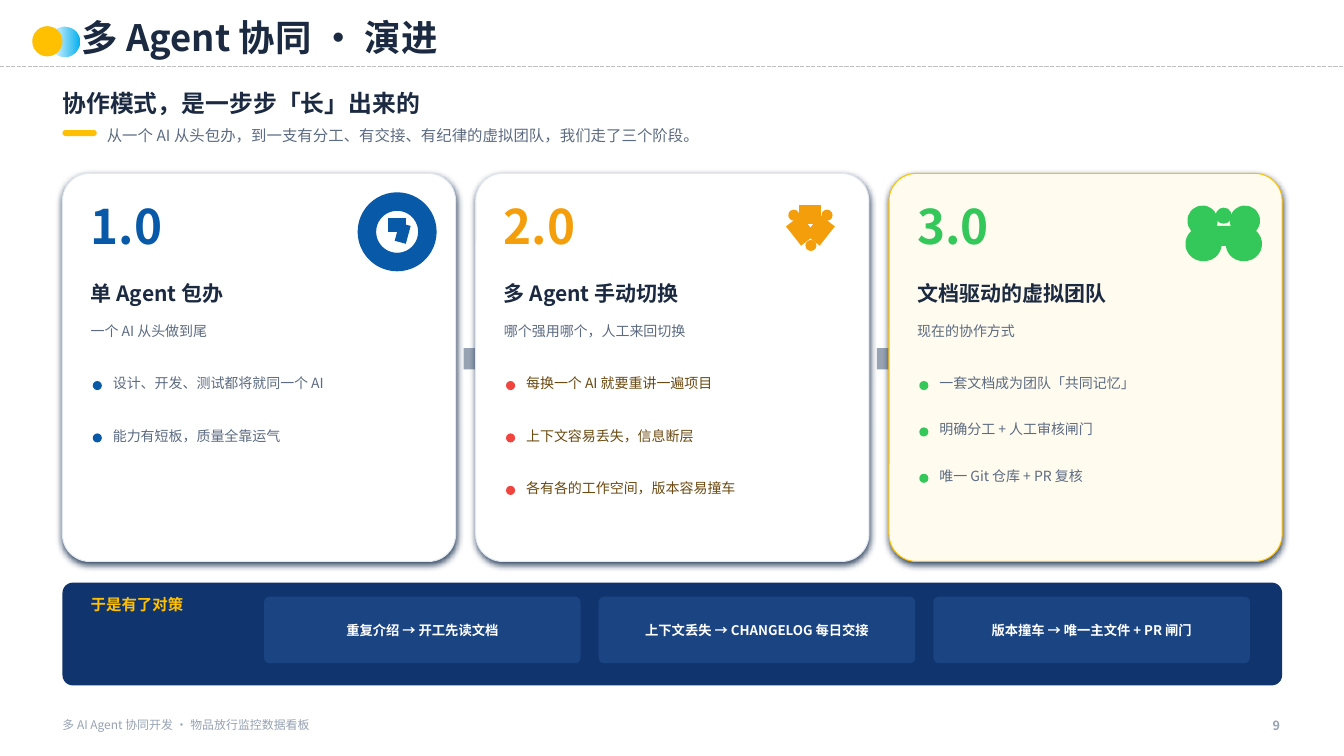
from lxml import etree
from pptx import Presentation
from pptx import util as u
from pptx.dml.color import RGBColor
from pptx.enum import dml, shapes, text
from pptx.oxml.ns import qn

FONT = "Noto Sans CJK SC"
COLORS = {
    "ink": "1B2A41", "body": "5C6B82", "muted": "97A2B3", "brown": "6B4A12",
    "blue": "0859A8", "orange": "F59E0B", "green": "34C759", "red": "F0443E",
    "yellow": "FFC001", "cream": "FFFBEE", "white": "FFFFFF", "border": "E2E8F2",
    "navy": "10356E", "chip": "1B4483", "sky": "01B0F0", "rule": "BFBFBF",
    "shadow": "0F2747",
}
TITLE = "多 Agent 协同 · 演进"
HEADLINE = "协作模式，是一步步「长」出来的"
INTRO = "从一个 AI 从头包办，到一支有分工、有交接、有纪律的虚拟团队，我们走了三个阶段。"
FOOTER = "多 AI Agent 协同开发 · 物品放行监控数据看板"
PAGE = "9"
# Icon parts: kind, then left, top, width, height (or both ends of a line), from the card corner
CLOCK = [
    ("ring", 217.44, 20.16, 43.2, 43.2),
    ("line", 239.04, 41.76, 239.04, 31.68),
    ("line", 239.04, 41.76, 246.96, 43.92),
]
NETWORK = [
    ("dot", 223.2, 25.92, 7.92, 7.92),
    ("dot", 246.96, 25.92, 7.92, 7.92),
    ("dot", 235.44, 47.52, 7.92, 7.92),
    ("line", 231.12, 29.52, 246.96, 29.52),
    ("line", 226.8, 33.84, 237.6, 47.52),
    ("line", 251.28, 33.84, 240.48, 47.52),
]
TEAM = [
    ("dot", 233.28, 24.48, 11.52, 11.52),
    ("pill", 227.52, 37.44, 22.32, 14.4),
    ("ring", 219.6, 29.52, 8.64, 8.64),
    ("pill ring", 218.16, 44.64, 12.96, 11.52),
    ("ring", 249.84, 29.52, 8.64, 8.64),
    ("pill ring", 246.96, 44.64, 12.96, 11.52),
]
STAGES = [
    dict(number="1.0", name="单 Agent 包办", summary="一个 AI 从头做到尾",
         points=["设计、开发、测试都将就同一个 AI", "能力有短板，质量全靠运气"],
         icon=CLOCK, accent="blue", bullet="blue", ink="body",
         fill="white", border="border", step=37.44),
    dict(number="2.0", name="多 Agent 手动切换", summary="哪个强用哪个，人工来回切换",
         points=["每换一个 AI 就要重讲一遍项目", "上下文容易丢失，信息断层",
                 "各有各的工作空间，版本容易撞车"],
         icon=NETWORK, accent="orange", bullet="red", ink="brown",
         fill="white", border="border", step=37.44),
    dict(number="3.0", name="文档驱动的虚拟团队", summary="现在的协作方式",
         points=["一套文档成为团队「共同记忆」", "明确分工 + 人工审核闸门",
                 "唯一 Git 仓库 + PR 复核"],
         icon=TEAM, accent="green", bullet="green", ink="body",
         fill="cream", border="yellow", step=33.12),
]
REMEDY_LABEL = "于是有了对策"
REMEDIES = ["重复介绍 → 开工先读文档", "上下文丢失 → CHANGELOG 每日交接",
            "版本撞车 → 唯一主文件 + PR 闸门"]

MARGIN, CONTENT_WIDTH = 44.64, 871.2
CARD_TOP, CARD_WIDTH, CARD_HEIGHT, CARD_STEP = 123.84, 280.8, 277.2, 295.2
CHIP_LEFT, CHIP_TOP, CHIP_WIDTH, CHIP_HEIGHT, CHIP_STEP = 188.64, 426.24, 226.08, 47.52, 239.04
CHIP_PADDING = 7.2
ICON_STROKE = 13.2

OVAL = shapes.MSO_SHAPE.OVAL
ROUNDED = shapes.MSO_SHAPE.ROUNDED_RECTANGLE
ARROW = shapes.MSO_SHAPE.RIGHT_ARROW

presentation = Presentation()
presentation.slide_width, presentation.slide_height = u.Pt(960), u.Pt(540)
slide = presentation.slides.add_slide(presentation.slide_layouts[6])


def color(name):
    return RGBColor.from_string(COLORS[name])


def points(*lengths):
    return [u.Pt(length) for length in lengths]


def add_text(content, left, top, width, height, size=10, ink="body", bold=False,
             align=None, middle=False, spacing=None):
    box = slide.shapes.add_textbox(*points(left, top, width, height))
    frame = box.text_frame
    frame.word_wrap = True
    frame.auto_size = text.MSO_AUTO_SIZE.SHAPE_TO_FIT_TEXT
    frame.margin_left = frame.margin_right = frame.margin_top = frame.margin_bottom = 0
    frame.vertical_anchor = text.MSO_ANCHOR.MIDDLE if middle else text.MSO_ANCHOR.TOP
    paragraph = frame.paragraphs[0]
    paragraph.alignment = align
    paragraph.line_spacing = spacing
    run = paragraph.add_run()
    run.text = content
    run.font.size, run.font.bold, run.font.name = u.Pt(size), bold, FONT
    run.font.color.rgb = color(ink)
    etree.SubElement(run.font._element, qn("a:ea"), typeface=FONT)


def add_block(kind, left, top, width, height, fill=None, line=None, line_width=0.75, corner=None):
    shape = slide.shapes.add_shape(kind, *points(left, top, width, height))
    shape.shadow.inherit = False
    if corner is not None:
        shape.adjustments[0] = corner
    if fill:
        shape.fill.solid()
        shape.fill.fore_color.rgb = color(fill)
    else:
        shape.fill.background()
    if line:
        shape.line.color.rgb = color(line)
        shape.line.width = u.Pt(line_width)
    else:
        shape.line.fill.background()
    return shape


def add_line(x1, y1, x2, y2, ink, width):
    line = slide.shapes.add_connector(shapes.MSO_CONNECTOR.STRAIGHT, *points(x1, y1, x2, y2))
    line.line.color.rgb = color(ink)
    line.line.width = u.Pt(width)
    etree.SubElement(line._element.spPr, qn("a:effectLst"))
    return line


def add_alpha(color_element, percent):
    etree.SubElement(color_element, qn("a:alpha"), val=str(percent * 1000))


def add_shadow(shape):
    effects = shape._element.spPr.find(qn("a:effectLst"))
    outer = etree.SubElement(effects, qn("a:outerShdw"), blurRad=str(u.Pt(5)),
                             dist=str(u.Pt(1.8)), dir="5400000", algn="ctr", rotWithShape="0")
    add_alpha(etree.SubElement(outer, qn("a:srgbClr"), val=COLORS["shadow"]), 84)


def add_icon(parts, left, top, ink):
    for kind, x, y, a, b in parts:
        x, y = left + x, top + y
        if kind == "line":
            add_line(x, y, left + a, top + b, ink, ICON_STROKE)
            continue
        pill, ring = "pill" in kind, "ring" in kind
        add_block(ROUNDED if pill else OVAL, x, y, a, b, fill=None if ring else ink,
                  line=ink if ring else None, line_width=ICON_STROKE,
                  corner=0.5 if pill else None)


def add_header():
    add_line(0, 47.52, 960, 47.52, "rule", 1).line.dash_style = dml.MSO_LINE.SQUARE_DOT
    glow = add_block(OVAL, 35.28, 18.72, 21.6, 21.6, "sky")
    glow.fill.gradient()
    glow.fill.gradient_angle = 0
    for position, stop in enumerate(glow.fill.gradient_stops):
        stop.position = position
        stop.color.rgb = color("sky")
    add_alpha(next(glow._element.spPr.iter(qn("a:srgbClr"))), 0)
    add_block(OVAL, 23.04, 18.72, 21.6, 21.6, "yellow")
    add_text(TITLE, 58.32, 8.64, 576, 36, size=26, ink="ink", bold=True, middle=True)
    add_text(HEADLINE, MARGIN, 59.04, CONTENT_WIDTH, 28.8, size=17, ink="ink", bold=True,
             middle=True)
    add_block(ROUNDED, MARGIN, 92.88, 24.48, 4.32, "yellow", corner=0.5)
    add_text(INTRO, 76.32, 86.4, 835.2, 20.16, size=11, middle=True)


def add_stage(stage, left, top):
    add_shadow(add_block(ROUNDED, left, top, CARD_WIDTH, CARD_HEIGHT, stage["fill"],
                         stage["border"], corner=0.07))
    text_left = left + 20.16
    add_text(stage["number"], text_left, top + 16.56, 158.4, 50.4, size=34,
             ink=stage["accent"], bold=True)
    add_icon(stage["icon"], left, top, stage["accent"])
    add_text(stage["name"], text_left, top + 76.32, 244.8, 28.8, size=15, ink="ink", bold=True)
    add_text(stage["summary"], text_left, top + 106.56, 244.8, 21.6)
    for row, point in enumerate(stage["points"]):
        row_top = top + 142.56 + row * stage["step"]
        add_block(OVAL, left + 21.6, row_top + 5.76, 6.48, 6.48, stage["bullet"])
        add_text(point, left + 36, row_top, 230.4, 39.6, ink=stage["ink"], spacing=1.1)


def add_remedies():
    add_block(ROUNDED, MARGIN, 416.16, CONTENT_WIDTH, 73.44, "navy", corner=0.1)
    add_text(REMEDY_LABEL, 64.8, 424.8, 129.6, 28.8, size=11, ink="yellow", bold=True)
    for column, remedy in enumerate(REMEDIES):
        left = CHIP_LEFT + column * CHIP_STEP
        add_block(ROUNDED, left, CHIP_TOP, CHIP_WIDTH, CHIP_HEIGHT, "chip", corner=0.08)
        add_text(remedy, left + CHIP_PADDING, CHIP_TOP, CHIP_WIDTH - 2 * CHIP_PADDING,
                 CHIP_HEIGHT, size=9.5, ink="white", bold=True,
                 align=text.PP_ALIGN.CENTER, middle=True, spacing=1.08)


add_header()
add_text(FOOTER, MARGIN, 512.64, 540, 20.16, size=8.5, ink="muted")
add_text(PAGE, 856.8, 512.64, 57.6, 20.16, size=9, ink="muted", bold=True,
         align=text.PP_ALIGN.RIGHT)
for index, stage in enumerate(STAGES):
    card_left = MARGIN + index * CARD_STEP
    add_stage(stage, card_left, CARD_TOP)
    if index < len(STAGES) - 1:
        add_block(ARROW, card_left + 286.56, CARD_TOP + 117.36, 17.28, 30.24, "muted")
add_remedies()
presentation.save("out.pptx")
